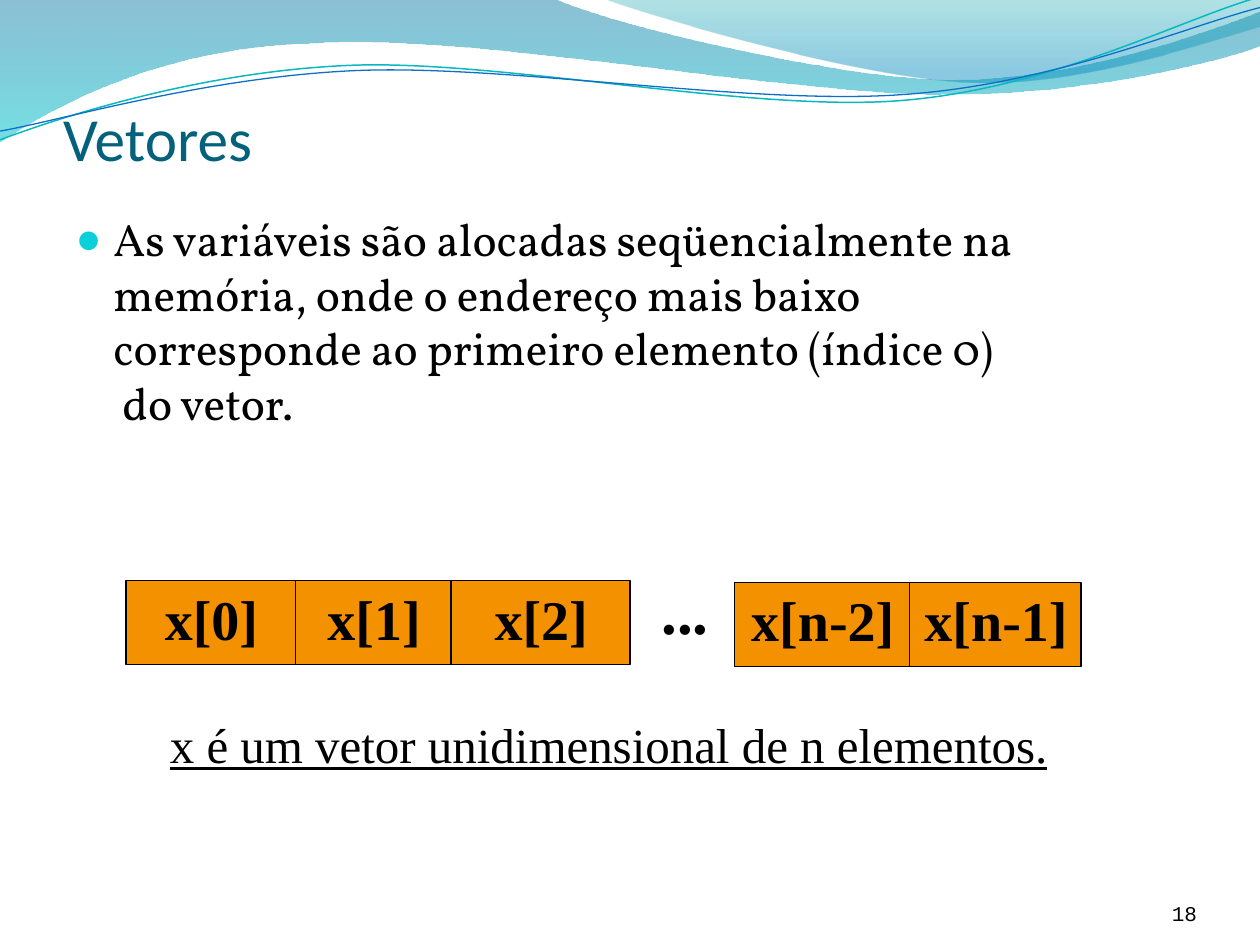
"""Build the slide on vectors and their memory layout."""
from dataclasses import dataclass

from lxml import etree
from pptx import Presentation
from pptx.dml.color import RGBColor
from pptx.enum.shapes import MSO_CONNECTOR, MSO_SHAPE
from pptx.enum.text import MSO_ANCHOR, MSO_AUTO_SIZE, PP_ALIGN
from pptx.oxml.ns import qn
from pptx.util import Pt

LINE = MSO_CONNECTOR.STRAIGHT
RECT = MSO_SHAPE.RECTANGLE
BASE = MSO_ANCHOR.BOTTOM
FIXED = MSO_AUTO_SIZE.NONE
LEFT, RIGHT = PP_ALIGN.LEFT, PP_ALIGN.RIGHT


@dataclass(frozen=True)
class Theme:
    ink: str = "000000"
    title: str = "04617B"
    bullet: str = "0BD0D9"
    cell: str = "F49100"
    teal: str = "0AB8BF"
    blue: str = "0F6FC6"
    wide: tuple = ((0, "0074A1", 45), (1, "00C6CF", 55))
    short: tuple = ((0, "00A1A9", 30), (0.8, "008BBF", 45))
    head: tuple = ("Calibri", 35)
    body: tuple = ("Vollkorn", 26)
    code: tuple = ("Courier New", 12)
    label: tuple = ("Times New Roman", 32)
    dots: tuple = ("Times New Roman", 36)
    note: tuple = ("Times New Roman", 28)


THEME = Theme()

WIDE = ((0, 0), [
    ((316.8, -0.7),),
    ((342.7, 12.2), (478.1, 45.4), (545.8, 45.4)),
    ((614.2, 45.4), (689.8, 18.7), (720, 6.5)),
    ((720.7, 25.9),),
    ((707.8, 31.7), (626.4, 54.7), (537.1, 54)),
    ((447.8, 54), (275, 20.2), (185, 24.5)),
    ((92.9, 25.9), (33.1, 59.8), (-0.7, 81.4)),
])
SHORT = ((344.9, -0.7), [
    ((366.5, 7.9), (491, 44.6), (553.7, 46.8)),
    ((616.3, 49.7), (691.9, 23), (720, 15.1)),
    ((720, 0),),
])
TEAL = ((0, 79.9), [
    ((34.6, 67), (113.8, 41), (199.4, 37.4)),
    ((284.4, 33.8), (427, 64.1), (513.4, 57.6)),
    ((599.8, 51.1), (675.4, 10.8), (718.6, -1.4)),
])
BLUE = ((0, 74.9), [
    ((33.8, 69.1), (118.1, 43.9), (203.8, 40.3)),
    ((290.2, 36.7), (429.8, 60.5), (516.2, 54)),
    ((601.9, 48.2), (677.5, 15.1), (720, 4.3)),
])


def color(code):
    return RGBColor.from_string(code)


def add_tag(node, name, **attrs):
    return etree.SubElement(node, qn(name), attrs)


def add_curve(slide, curve, close):
    """Draw an outline whose three-point parts are cubic curves."""
    (left, top), parts = curve
    pen = slide.shapes.build_freeform(Pt(left), Pt(top))
    pen.add_line_segments([(Pt(x), Pt(y)) for part in parts for x, y in part], close=close)
    shape = pen.convert_to_shape()
    shape.shadow.inherit = False
    legs = iter(list(shape.element.spPr.iter(qn("a:lnTo"))))
    for part in parts:
        first, *more = [next(legs) for _ in part]
        if more:
            bend = etree.Element(qn("a:cubicBezTo"))
            first.addprevious(bend)
            for leg in (first, *more):
                bend.append(leg[0])
                leg.getparent().remove(leg)
    return shape


def add_wave(slide, curve, stops):
    shape = add_curve(slide, curve, True)
    shape.line.fill.background()
    shape.fill.gradient()
    shape.fill.gradient_angle = 270
    for stop, (spot, code, _) in zip(shape.fill.gradient_stops, stops):
        stop.position = spot
        stop.color.rgb = color(code)
    tags = shape.element.spPr.iter(qn("a:srgbClr"))
    for tag, (_, _, alpha) in zip(tags, stops):
        add_tag(tag, "a:alpha", val=str(alpha * 1000))


def add_thread(slide, curve, code, width):
    shape = add_curve(slide, curve, False)
    shape.fill.background()
    shape.line.color.rgb = color(code)
    shape.line.width = Pt(width)


def add_run(para, text, style, code=THEME.ink, **marks):
    run = para.add_run()
    run.text = text
    font = run.font
    font.name, size = style
    font.size = Pt(size)
    font.color.rgb = color(code)
    for mark, value in marks.items():
        setattr(font, mark, value)


def place(slide, index, box):
    """Move a placeholder in front of the waves and give it a box."""
    shape = slide.placeholders[index]
    shape.element.getparent().append(shape.element)
    shape.left, shape.top, shape.width, shape.height = map(Pt, box)
    shape.text_frame.auto_size = FIXED
    return shape.text_frame


def add_title(slide, text):
    frame = place(slide, 0, (36, 9.4, 648, 90))
    frame.vertical_anchor = BASE
    frame.margin_left = frame.margin_right = frame.margin_bottom = 0
    para = frame.paragraphs[0]
    para.alignment = LEFT
    add_run(para, text, THEME.head, THEME.title)


def add_list(slide, lines):
    para = place(slide, 1, (36, 117, 648, 380.9)).paragraphs[0]
    props = para._p.get_or_add_pPr()
    props.set("marL", str(Pt(21.6)))
    props.set("indent", str(-Pt(21.6)))
    add_tag(add_tag(props, "a:buClr"), "a:srgbClr", val=THEME.bullet)
    add_tag(props, "a:buSzPct", val="95000")
    add_tag(props, "a:buChar", char="●")
    para.space_before = Pt(0)
    for i, line in enumerate(lines):
        if i:
            para.add_line_break()
        add_run(para, line, THEME.body)


def add_text(slide, box, text, style, tabs=(), **marks):
    frame = slide.shapes.add_textbox(*map(Pt, box)).text_frame
    frame.word_wrap = True
    para = frame.paragraphs[0]
    if tabs:
        stops = add_tag(para._p.get_or_add_pPr(), "a:tabLst")
        for tab in tabs:
            add_tag(stops, "a:tab", pos=str(Pt(tab)), algn="ctr")
    add_run(para, text, style, **marks)
    return frame


def add_array(slide, edges, top, names):
    """Draw a bar split at the inner edges, one centred name per cell."""
    left, *cuts, right = edges
    bar = slide.shapes.add_shape(RECT, *map(Pt, (left, top, right - left, 48)))
    bar.shadow.inherit = False
    bar.fill.solid()
    bar.fill.fore_color.rgb = color(THEME.cell)
    bar.line.color.rgb = color(THEME.ink)
    bar.line.width = Pt(0.75)
    for cut in cuts:
        rule = slide.shapes.add_connector(LINE, Pt(cut), Pt(top), Pt(cut), Pt(top + 48))
        rule.line.color.rgb = color(THEME.ink)
        rule.line.width = Pt(0.75)
        add_tag(rule.element.spPr, "a:effectLst")
    tabs = [(a + b) / 2 - left - 6.7 for a, b in zip(edges, edges[1:])]
    text = "".join("\t" + name for name in names)
    add_text(slide, (left, top - 1.5, right - left + 7.2, 45.4), text, THEME.label, tabs, bold=True)


def main():
    deck = Presentation()
    deck.slide_width, deck.slide_height = Pt(720), Pt(540)
    slide = deck.slides.add_slide(deck.slide_layouts[1])
    add_wave(slide, WIDE, THEME.wide)
    add_wave(slide, SHORT, THEME.short)
    add_thread(slide, TEAL, THEME.teal, 0.85)
    add_thread(slide, BLUE, THEME.blue, 0.75)
    add_list(slide, [
        "As variáveis são alocadas seqüencialmente na memória, onde o endereço mais baixo",
        "corresponde ao primeiro elemento (índice 0)",
        " do vetor.",
    ])
    page = add_text(slide, (624, 500.4, 60, 28.8), "18", THEME.code)
    page.vertical_anchor = BASE
    page.margin_left = page.margin_right = page.margin_top = page.margin_bottom = 0
    page.paragraphs[0].alignment = RIGHT
    add_title(slide, "Vetores")
    add_array(slide, (72, 169, 257.8, 360), 331.8, ("x[0]", "x[1]", "x[2]"))
    add_array(slide, (419.8, 519.8, 617.8), 332.8, ("x[n-2]", "x[n-1]"))
    add_text(slide, (370.8, 323.3, 59.8, 50.4), "...", THEME.dots, bold=True)
    add_text(slide, (90, 404.6, 552.2, 41), "x é um vetor unidimensional de n elementos.",
             THEME.note, underline=True)
    deck.save("out.pptx")


if __name__ == "__main__":
    main()
